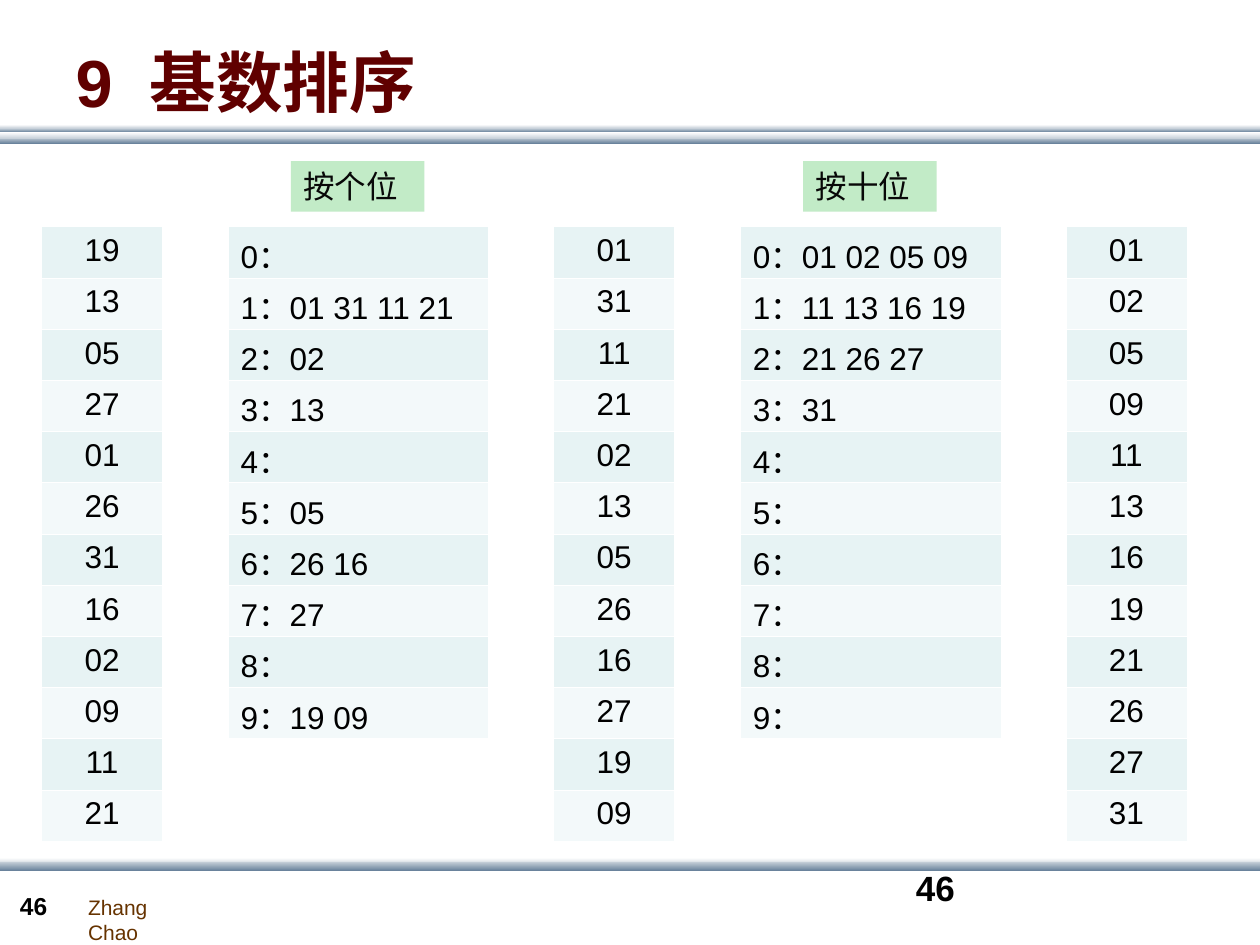
from lxml.etree import SubElement
from pptx import Presentation
from pptx.dml.color import RGBColor as RGB
from pptx.enum.shapes import MSO_SHAPE as Shape
from pptx.enum.text import MSO_ANCHOR as Anchor, PP_ALIGN as Align
from pptx.oxml.ns import qn
from pptx.util import Inches, Pt

WHITE = RGB(0xFF, 0xFF, 0xFF)
BLACK = RGB(0, 0, 0)
INK = RGB(0x08, 0x08, 0x08)
MAROON = RGB(0x60, 0, 0)
BROWN = RGB(0x66, 0x33, 0)
GREEN = RGB(0xC2, 0xEB, 0xC7)
PALE = RGB(0xC8, 0xD1, 0xDA)
STEEL = RGB(0x6A, 0x83, 0x9C)
BANDS = RGB(0xE7, 0xF3, 0xF4), RGB(0xF3, 0xF9, 0xFA)

LATIN, HAN = "Arial", "Noto Sans CJK SC"
KEYS = "19 13 05 27 01 26 31 16 02 09 11 21".split()
ROW_H = 4.88 / 12
TOP = 1.8
STEP = 4.065  # from one pass to the next

# top, height, upper colour, lower colour
BARS = [
    (1.09, 0.05, PALE, STEEL),
    (1.02, 0.03, PALE, STEEL),
    (1.05, 0.05, WHITE, PALE),
    (0.99, 0.03, WHITE, PALE),
    (6.81, 0.05, WHITE, PALE),
    (6.84, 0.07, PALE, STEEL),
]


def write(frame, text, size=18, font=LATIN, color=BLACK, bold=False,
          align=Align.LEFT, wrap=True, anchor=Anchor.TOP):
    frame.word_wrap = wrap
    frame.vertical_anchor = anchor
    para = frame.paragraphs[0]
    para.alignment = align
    run = para.add_run()
    run.text = text
    run.font.size = Pt(size)
    run.font.name = font
    run.font.bold = bold
    run.font.color.rgb = color
    if font == HAN:
        SubElement(run.font._element, qn("a:ea"), typeface=HAN)


def add_rect(slide, x, y, w, h):
    rect = slide.shapes.add_shape(
        Shape.RECTANGLE, Inches(x), Inches(y), Inches(w), Inches(h))
    rect.shadow.inherit = False
    rect.line.fill.background()
    return rect


def add_bar(slide, y, h, upper, lower):
    fill = add_rect(slide, 0, y, 10.01, h).fill
    fill.gradient()
    fill.gradient_angle = 270
    for stop, color in zip(fill.gradient_stops, (upper, lower)):
        stop.color.rgb = color


def add_tag(slide, x, text):
    tag = add_rect(slide, x, 1.28, 1.06, 0.4)
    tag.fill.solid()
    tag.fill.fore_color.rgb = GREEN
    write(tag.text_frame, text, font=HAN, color=INK)


def add_text(slide, x, y, w, h, text, **style):
    box = slide.shapes.add_textbox(Inches(x), Inches(y), Inches(w), Inches(h))
    write(box.text_frame, text, **style)


def edge(cell):
    """Give a cell thin white borders."""
    props = cell._tc.get_or_add_tcPr()
    for side in "LRTB":
        line = SubElement(props, qn(f"a:ln{side}"), w=str(Pt(0.45)))
        fill = SubElement(line, qn("a:solidFill"))
        SubElement(fill, qn("a:srgbClr"), val=str(WHITE))


def add_list(slide, x, w, items, align=Align.LEFT, top=0.05, bottom=0.05):
    """Add a banded table of one column."""
    table = slide.shapes.add_table(
        len(items), 1, Inches(x), Inches(TOP), Inches(w),
        Inches(ROW_H * len(items))).table
    table.first_row = table.horz_banding = False
    for i, item in enumerate(items):
        cell = table.cell(i, 0)
        edge(cell)
        cell.fill.solid()
        cell.fill.fore_color.rgb = BANDS[i % 2]
        cell.margin_top, cell.margin_bottom = Inches(top), Inches(bottom)
        write(cell.text_frame, item, align=align)


def deal(keys, place):
    """Put the keys into ten buckets by the digit at the given place."""
    return [[k for k in keys if k[place] == str(d)] for d in range(10)]


def add_keys(slide, x, keys):
    add_list(slide, x, 0.96, keys, align=Align.CENTER)


def main():
    deck = Presentation()
    deck.slide_width, deck.slide_height = Inches(10), Inches(7.5)
    slide = deck.slides.add_slide(deck.slide_layouts[5])

    for bar in BARS:
        add_bar(slide, *bar)
    add_text(slide, 0.6, 7.05, 1.11, 0.3, "Zhang Chao", size=12,
             color=BROWN, wrap=False)
    add_text(slide, 0.06, 7.02, 0.55, 0.34, "46", size=14, bold=True)
    add_text(slide, 7.17, 6.83, 2.33, 0.5, "46", size=20, bold=True)

    keys = KEYS
    add_keys(slide, 0.33, keys)
    for i, (name, place) in enumerate((("按个位", 1), ("按十位", 0))):
        shift = i * STEP
        piles = deal(keys, place)
        rows = [f"{d}：{' '.join(pile)}" for d, pile in enumerate(piles)]
        add_tag(slide, 2.31 + shift, name)
        add_list(slide, 1.81 + shift, 2.07, rows, top=0.04, bottom=0)
        keys = sum(piles, [])
        add_keys(slide, 0.33 + shift + STEP, keys)

    title = slide.shapes.title
    title.left, title.top = Inches(0.5), Inches(0.3)
    title.width, title.height = Inches(9), Inches(0.69)
    write(title.text_frame, "9  基数排序", size=38, color=MAROON, bold=True,
          anchor=Anchor.MIDDLE)
    deck.save("out.pptx")


if __name__ == "__main__":
    main()
